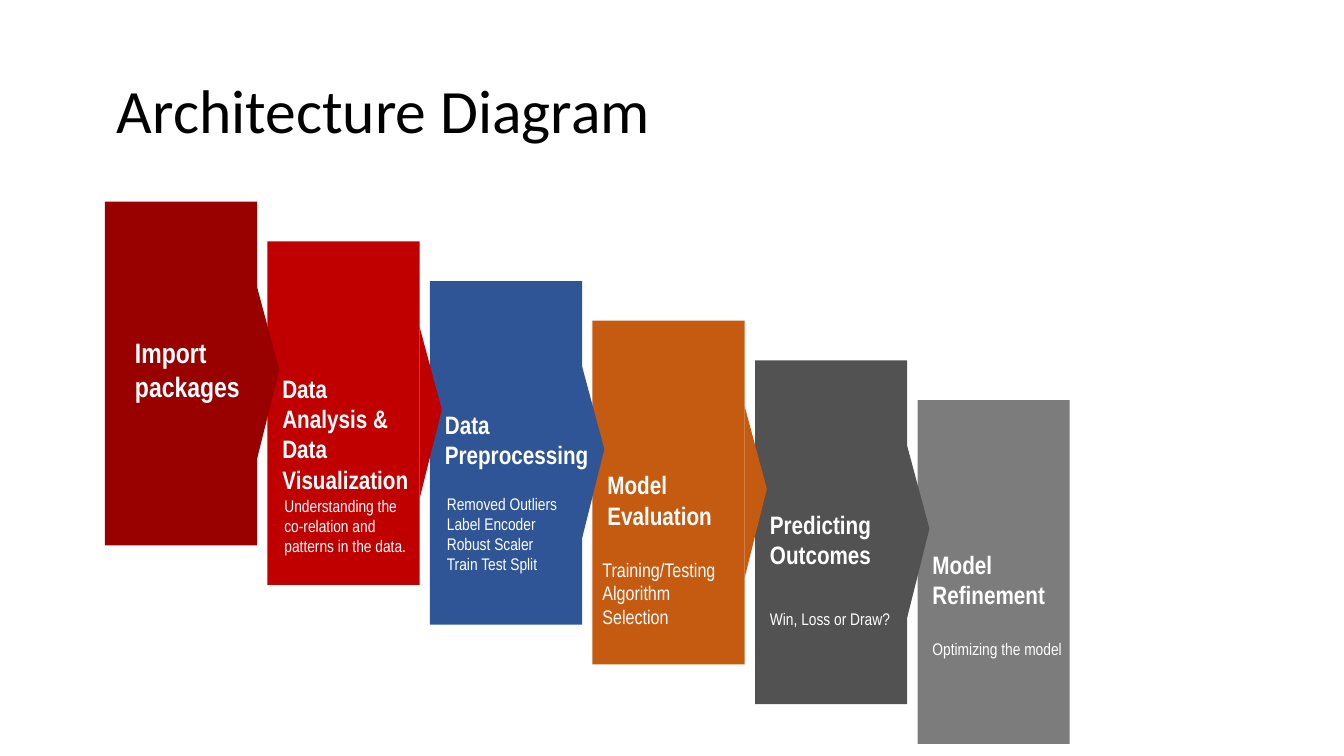
from pptx import Presentation
from pptx.dml.color import RGBColor
from pptx.enum.shapes import MSO_SHAPE
from pptx.enum.text import MSO_ANCHOR, PP_ALIGN
from pptx.util import Inches, Pt

TITLE = "Architecture Diagram"
WHITE = RGBColor(0xFF, 0xFF, 0xFF)
BLACK = RGBColor(0, 0, 0)
DARK_RED = RGBColor(0x99, 0, 0)
RED = RGBColor(0xC0, 0, 0)
BLUE = RGBColor(0x2F, 0x55, 0x97)
ORANGE = RGBColor(0xC5, 0x5A, 0x11)
DARK_GRAY = RGBColor(0x52, 0x52, 0x52)
GRAY = RGBColor(0x7C, 0x7C, 0x7C)

# Each text: lines, size, and (left, top, width) measured from its panel's corner
STEPS = [
    {"color": DARK_RED,
     "heading": (["Import packages"], 20, (0.2, 1.28, 1.51))},
    {"color": RED,
     "heading": (["Data Analysis & Data Visualization"], 18, (0.05, 1.26, 1.51)),
     "detail": (["Understanding the co-relation and patterns in the data."],
                12, (0.07, 2.47, 1.41))},
    {"color": BLUE,
     "heading": (["Data Preprocessing"], 18, (0.05, 1.22, 1.64)),
     "detail": (["Removed Outliers", "Label Encoder", "Robust Scaler", "Train Test Split"],
                12, (0.07, 2.06, 1.4))},
    {"color": ORANGE,
     "heading": (["Model Evaluation"], 18, (0.05, 1.43, 1.51)),
     "detail": (["Training/Testing", "Algorithm Selection"], 14, (0, 2.3, 1.51))},
    {"color": DARK_GRAY,
     "heading": (["Predicting Outcomes"], 18, (0.05, 1.43, 1.51)),
     "detail": (["Win, Loss or Draw?"], 12, (0.05, 2.41, 1.51))},
    {"color": GRAY,
     "heading": (["Model Refinement"], 18, (0.05, 1.43, 1.51)),
     "detail": (["Optimizing the model"], 12, (0.05, 2.32, 1.51))},
]

FIRST_LEFT, FIRST_TOP = 1.04, 2.0
LAST_LEFT, LAST_TOP = 9.1, 3.97
STEP_RIGHT = (LAST_LEFT - FIRST_LEFT) / (len(STEPS) - 1)
STEP_DOWN = (LAST_TOP - FIRST_TOP) / (len(STEPS) - 1)
PANEL_WIDTH, PANEL_HEIGHT = 1.51, 3.41
POINTER_WIDTH = 0.22
POINTER_TOP, POINTER_TIP, POINTER_BOTTOM = 0.85, 1.67, 2.55
TEXT_HEIGHT = 0.6


def set_font(font, **values):
    color = values.pop("color")
    for name, value in values.items():
        setattr(font, name, value)
    font.color.rgb = color


def paint(shape, color):
    shape.fill.solid()
    shape.fill.fore_color.rgb = color
    shape.line.fill.background()
    shape.shadow.inherit = False


def add_panel(shapes, left, top, color):
    panel = shapes.add_shape(MSO_SHAPE.RECTANGLE, Inches(left), Inches(top),
                             Inches(PANEL_WIDTH), Inches(PANEL_HEIGHT))
    paint(panel, color)


def add_pointer(shapes, left, top, color):
    edge = left + PANEL_WIDTH
    corners = [(Inches(edge + dx), Inches(top + dy))
               for dx, dy in ((0, POINTER_BOTTOM), (0, POINTER_TOP),
                              (POINTER_WIDTH, POINTER_TIP))]
    outline = shapes.build_freeform(*corners[0])
    outline.add_line_segments(corners[1:], close=True)
    paint(outline.convert_to_shape(), color)


def add_text(shapes, left, top, text, bold):
    lines, size, (dx, dy, width) = text
    box = shapes.add_textbox(Inches(left + dx), Inches(top + dy),
                             Inches(width), Inches(TEXT_HEIGHT))
    frame = box.text_frame
    frame.word_wrap = True
    frame.text = "\n".join(lines)
    for paragraph in frame.paragraphs:
        set_font(paragraph.font, name="Arial Narrow", size=Pt(size), bold=bold, color=WHITE)


def add_title(slide):
    title = slide.shapes.title
    place = {"left": 0.92, "top": 0.4, "width": 11.5, "height": 1.45}
    for name, value in place.items():
        setattr(title, name, Inches(value))
    frame = title.text_frame
    frame.text = TITLE
    frame.vertical_anchor = MSO_ANCHOR.MIDDLE
    frame.margin_left = Inches(0.24)
    paragraph = frame.paragraphs[0]
    paragraph.alignment = PP_ALIGN.LEFT
    paragraph.line_spacing = 0.9
    set_font(paragraph.font, name="Calibri", size=Pt(44), color=BLACK)


def main():
    deck = Presentation()
    deck.slide_width, deck.slide_height = Inches(13.33), Inches(7.5)
    slide = deck.slides.add_slide(deck.slide_layouts[5])
    add_title(slide)

    # Last step first, so that each pointer lies over the panel that follows it
    for index, step in reversed(list(enumerate(STEPS))):
        left = FIRST_LEFT + index * STEP_RIGHT
        top = FIRST_TOP + index * STEP_DOWN
        add_panel(slide.shapes, left, top, step["color"])
        if index < len(STEPS) - 1:
            add_pointer(slide.shapes, left, top, step["color"])
        add_text(slide.shapes, left, top, step["heading"], bold=True)
        if "detail" in step:
            add_text(slide.shapes, left, top, step["detail"], bold=False)

    deck.save("out.pptx")


if __name__ == "__main__":
    main()
